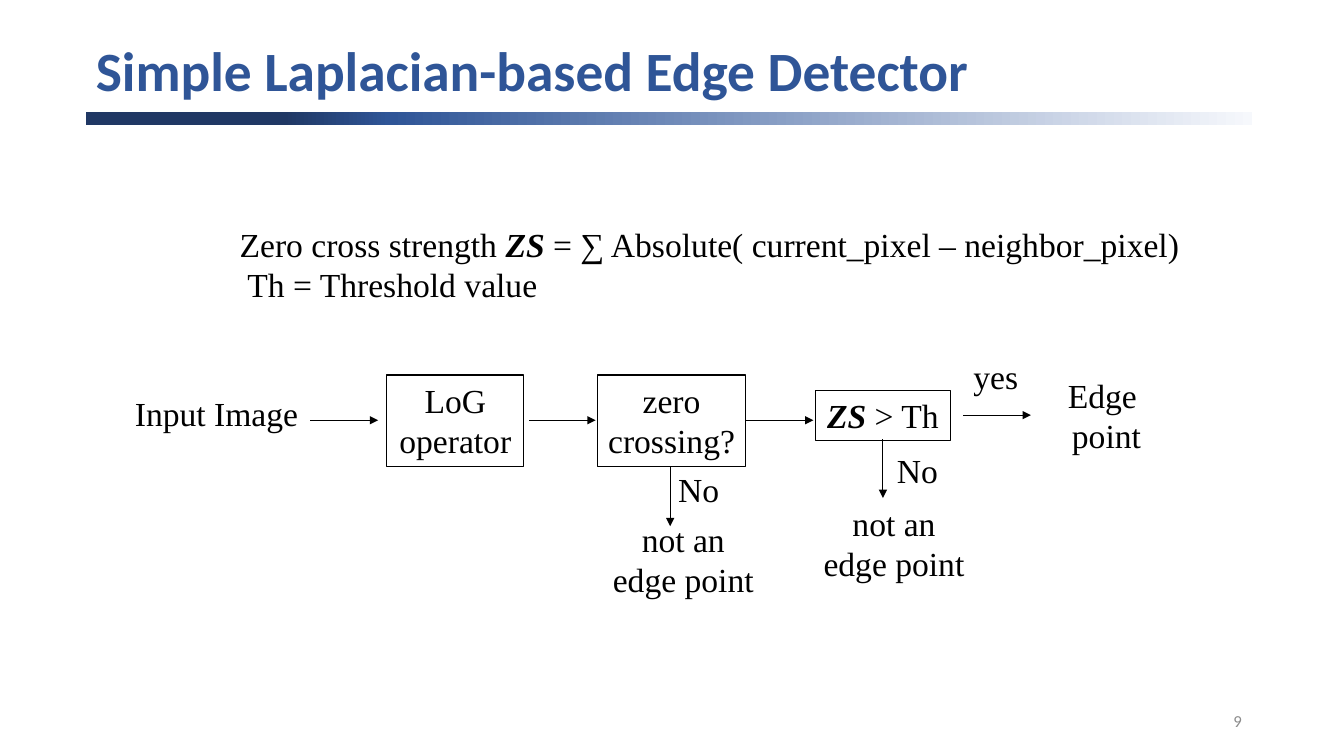
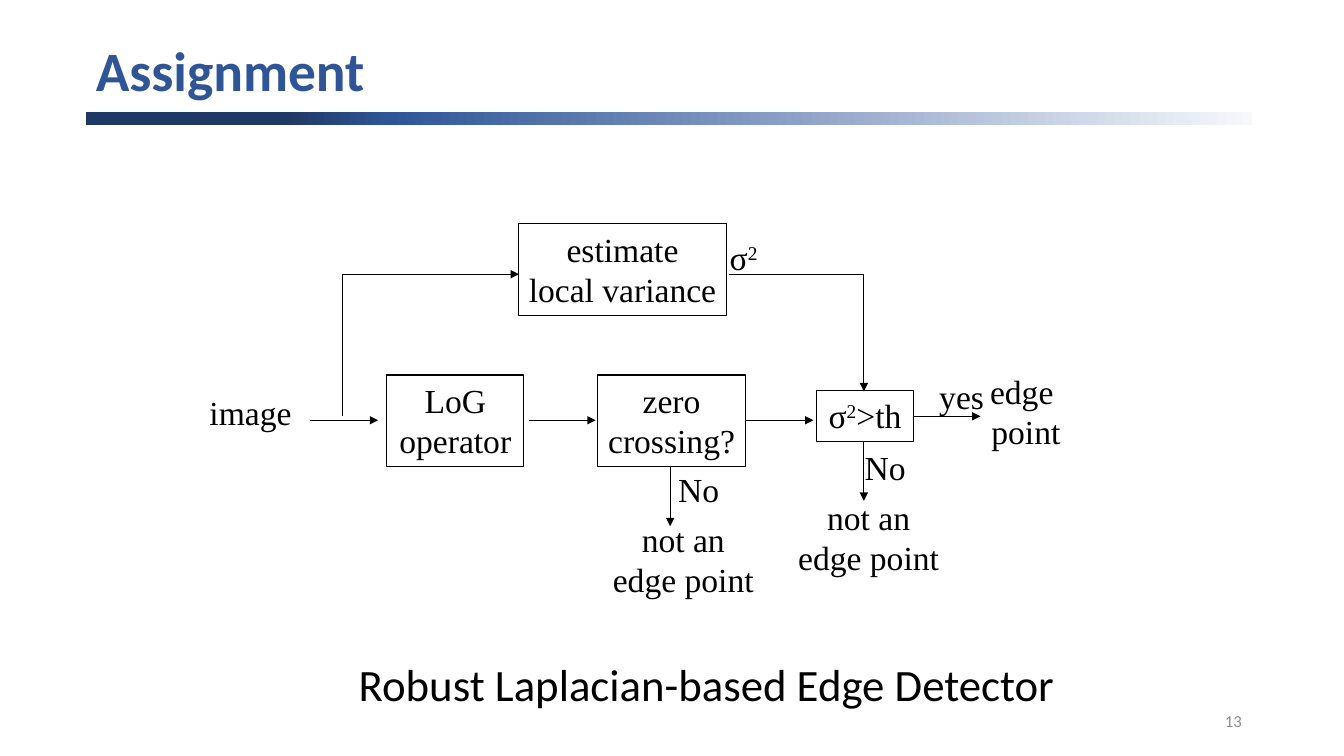
import copy

import pptx
import pptx.dml.color
import pptx.enum.shapes
import pptx.enum.text
import pptx.oxml.ns
import pptx.oxml.xmlchemy
import pptx.util

Cm = pptx.util.Cm
Pt = pptx.util.Pt
RGBColor = pptx.dml.color.RGBColor
ALIGN = pptx.enum.text.PP_ALIGN
ANCHOR = pptx.enum.text.MSO_ANCHOR
FIT = pptx.enum.text.MSO_AUTO_SIZE
OxmlElement = pptx.oxml.xmlchemy.OxmlElement
qn = pptx.oxml.ns.qn

BLACK = RGBColor(0x00, 0x00, 0x00)
BLUE = RGBColor(0x2F, 0x55, 0x97)
NAVY = RGBColor(0x20, 0x38, 0x64)
PALE = RGBColor(0xF6, 0xF8, 0xFC)
GREY = RGBColor(0x8C, 0x8C, 0x8C)
BAND_STOPS = [(0, NAVY), (0.17, NAVY), (0.26, BLUE), (1, PALE)]

SERIF = "Times New Roman"
SANS = "Calibri"
LINE_WIDTH = Pt(0.75)
FLOW_Y = 10.59
BRANCH_Y = 6.91


def add_span(para, text, style="", size=24, font=SERIF, color=BLACK):
    span = para.add_run()
    span.text = text
    span.font.name = font
    span.font.size = Pt(size)
    span.font.color.rgb = color
    span.font.bold = style in ("bold", "variable")
    span.font.italic = style == "variable"
    if style == "super":
        span._r.get_or_add_rPr().set("baseline", "30000")


def write(box, lines, align=ALIGN.LEFT, **look):
    frame = box.text_frame
    for index, line in enumerate(lines):
        para = frame.add_paragraph() if index else frame.paragraphs[0]
        para.alignment = align
        for text, style in [(line, "")] if isinstance(line, str) else line:
            add_span(para, text, style, **look)


def add_label(page, left, top, width, height, lines, align=ALIGN.LEFT, wrap=False, **look):
    box = page.shapes.add_textbox(Cm(left), Cm(top), Cm(width), Cm(height))
    box.text_frame.word_wrap = wrap
    box.text_frame.auto_size = FIT.SHAPE_TO_FIT_TEXT
    write(box, lines, align, **look)
    return box


def add_rectangle(page, left, top, width, height):
    kind = pptx.enum.shapes.MSO_SHAPE.RECTANGLE
    box = page.shapes.add_shape(kind, Cm(left), Cm(top), Cm(width), Cm(height))
    box.shadow.inherit = False
    return box


def add_step(page, left, top, width, height, lines):
    box = add_rectangle(page, left, top, width, height)
    box.fill.background()
    box.line.color.rgb = BLACK
    box.line.width = LINE_WIDTH
    box.text_frame.word_wrap = False
    box.text_frame.auto_size = FIT.SHAPE_TO_FIT_TEXT
    box.text_frame.vertical_anchor = ANCHOR.TOP
    write(box, lines, ALIGN.CENTER)


def add_line(page, x1, y1, x2, y2, arrow=True):
    kind = pptx.enum.shapes.MSO_CONNECTOR.STRAIGHT
    line = page.shapes.add_connector(kind, Cm(x1), Cm(y1), Cm(x2), Cm(y2))
    line.line.color.rgb = BLACK
    line.line.width = LINE_WIDTH
    if arrow:
        head = OxmlElement("a:tailEnd")
        head.set("type", "triangle")
        line.line._get_or_add_ln().append(head)
    line._element.spPr.append(OxmlElement("a:effectLst"))


def add_band(page):
    band = add_rectangle(page, 2.16, 2.82, 29.39, 0.34)
    band.line.fill.background()
    band.fill.gradient()
    band.fill.gradient_angle = 0
    stop_list = band._element.spPr.find(".//" + qn("a:gsLst"))
    for stop in list(stop_list)[:2]:
        stop_list.append(copy.deepcopy(stop))
    for stop, (position, color) in zip(band.fill.gradient_stops, BAND_STOPS):
        stop.position = position
        stop.color.rgb = color


def add_page(deck, title, number):
    page = deck.slides.add_slide(deck.slide_layouts.get_by_name("Title Only"))
    add_band(page)
    box = page.shapes.title
    box.left, box.top, box.width, box.height = Cm(2.16), Cm(1.02), Cm(30.84), Cm(1.68)
    box.text_frame.auto_size = FIT.NONE
    box.text_frame.vertical_anchor = ANCHOR.MIDDLE
    write(box, [[(title, "bold")]], size=39.6, font=SANS, color=BLUE)
    box.text_frame.paragraphs[0].line_spacing = 0.9
    footer = add_label(page, 23.93, 17.65, 7.62, 1.02, [number], ALIGN.RIGHT,
                       wrap=True, size=12, font=SANS, color=GREY)
    footer.text_frame.auto_size = FIT.NONE
    footer.text_frame.vertical_anchor = ANCHOR.MIDDLE
    return page


def add_rejection(page, x, top, bottom, no_at, outcome_at):
    add_line(page, x, top, x, bottom)
    add_label(page, *no_at, 1.55, 1.27, ["No"])
    add_label(page, *outcome_at, 4.06, 2.29, ["not an", "edge point"], ALIGN.CENTER)


def add_acceptance(page, x1, x2, y, yes_at, outcome_at, outcome):
    add_line(page, x1, y, x2, y)
    add_label(page, *yes_at, 1.65, 1.27, ["yes"])
    add_label(page, *outcome_at, 2.48, 2.3, [outcome, " point"], ALIGN.CENTER)


def add_laplacian_flow(page):
    add_step(page, 9.75, 9.45, 3.45, 2.31, ["LoG", "operator"])
    add_step(page, 15.06, 9.45, 3.73, 2.31, ["zero", "crossing?"])
    for start, end in [(7.82, 9.53), (13.34, 15.01), (18.8, 20.5)]:
        add_line(page, start, FLOW_Y, end, FLOW_Y)
    add_rejection(page, 16.89, 11.76, 13.26, (16.84, 11.68), (15.19, 12.95))


def build_simple_detector(deck):
    page = add_page(deck, "Simple Laplacian-based Edge Detector", "9")
    add_laplacian_flow(page)
    add_label(page, 3.15, 9.78, 4.67, 1.27, ["Input Image"])
    add_step(page, 20.55, 9.83, 3.4, 1.27, [[("ZS", "variable"), (" > Th", "")]])
    add_acceptance(page, 24.28, 25.98, 10.46, (24.28, 8.84), (26.54, 9.32), "Edge")
    add_rejection(page, 22.25, 11.07, 12.55, (22.35, 11.2), (20.5, 12.55))
    add_label(page, 5.79, 5.51, 24.23, 2.31, [
        [("Zero cross strength ", ""), ("ZS", "variable"),
         (" = ∑ Absolute( current_pixel – neighbor_pixel)", "")],
        " Th = Threshold value",
    ])


def build_assignment(deck):
    page = add_page(deck, "Assignment", "13")
    variance = [("σ", ""), ("2", "super")]
    add_laplacian_flow(page)
    add_label(page, 5.03, 9.75, 2.57, 1.27, ["image"])
    add_step(page, 13.06, 5.64, 5.26, 2.31, ["estimate", "local variance"])
    add_step(page, 20.57, 9.83, 2.46, 1.3, [variance + [(">th", "")]])
    add_line(page, 8.64, 10.49, 8.64, BRANCH_Y, arrow=False)
    add_line(page, 8.64, BRANCH_Y, 13.08, BRANCH_Y)
    add_line(page, 18.36, BRANCH_Y, 21.77, BRANCH_Y, arrow=False)
    add_line(page, 21.77, BRANCH_Y, 21.77, 9.86)
    add_label(page, 18.14, 5.84, 1.3, 1.27, [variance])
    add_acceptance(page, 23.04, 24.71, 10.49, (23.42, 9.35), (24.51, 9.22), "edge")
    add_rejection(page, 21.77, 11.13, 12.62, (21.54, 11.13), (19.86, 12.4))
    add_label(page, 8.79, 16.43, 19.2, 1.63, ["Robust Laplacian-based Edge Detector"],
              wrap=True, size=32, font=SANS)


def main():
    deck = pptx.Presentation()
    deck.slide_width = Cm(33.87)
    deck.slide_height = Cm(19.05)
    build_simple_detector(deck)
    build_assignment(deck)
    deck.save("out.pptx")


if __name__ == "__main__":
    main()
